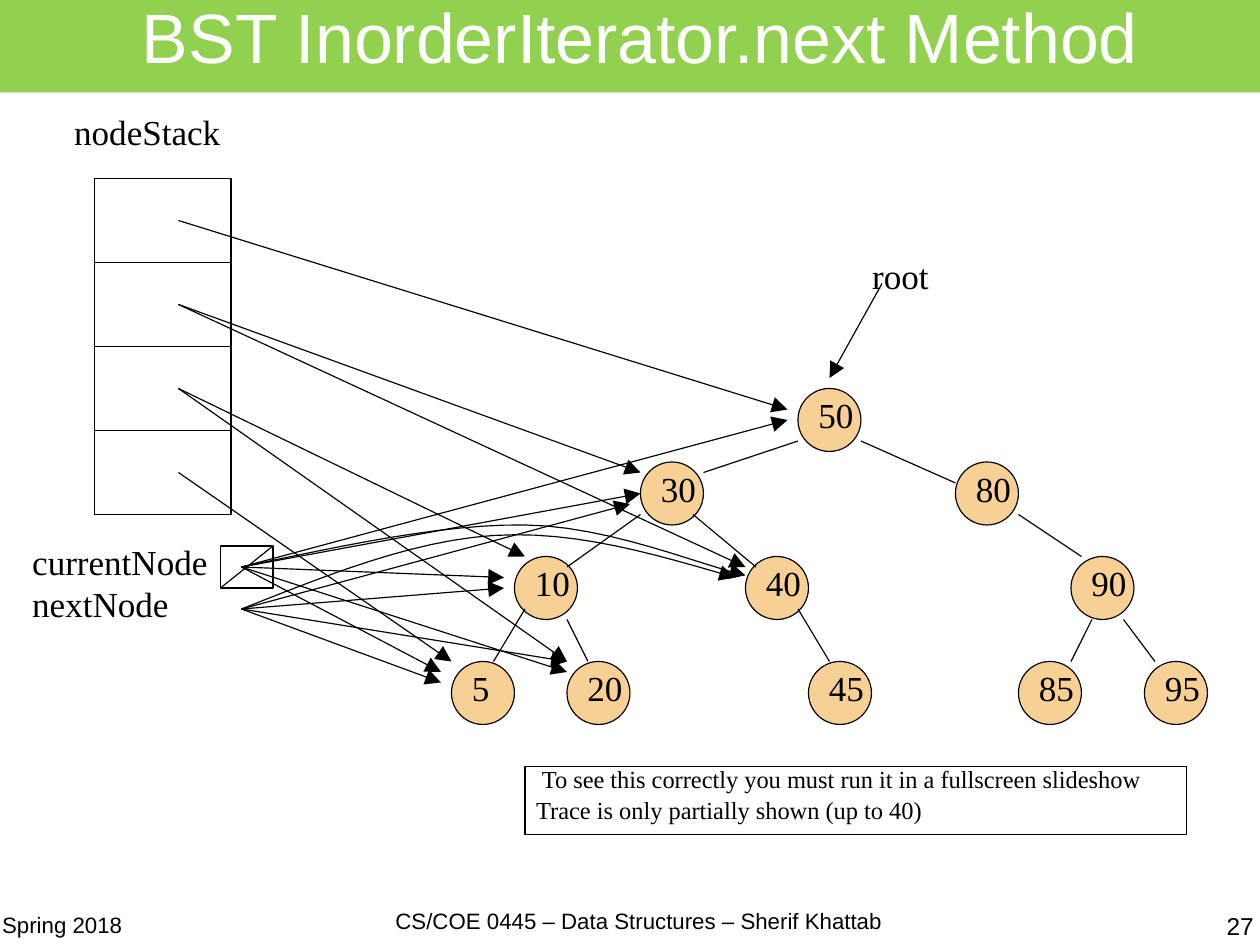
from pptx import Presentation
from pptx.dml.color import RGBColor
from pptx.enum.shapes import MSO_CONNECTOR, MSO_SHAPE
from pptx.enum.text import MSO_ANCHOR, PP_ALIGN
from pptx.oxml.ns import qn
from pptx.util import Mm, Pt
from lxml import etree

RECT, OVAL = MSO_SHAPE.RECTANGLE, MSO_SHAPE.OVAL
STRAIGHT = MSO_CONNECTOR.STRAIGHT
TOP, MIDDLE = MSO_ANCHOR.TOP, MSO_ANCHOR.MIDDLE
LEFT, CENTER, RIGHT = PP_ALIGN.LEFT, PP_ALIGN.CENTER, PP_ALIGN.RIGHT

# Slide grid: 120 columns by 90 rows of square cells
WIDTH, HEIGHT = Mm(280), Mm(210)
UNIT = WIDTH / 120
SERIF, SANS = "Times New Roman", "Arial"
BLACK, WHITE, GREEN, AMBER = "000000", "FFFFFF", "92D050", "F0A22E"

# Tree: value -> column and row of the node's top left corner
NODES = {"50": (76, 37), "30": (61, 44), "80": (91, 44), "10": (49, 53),
         "40": (71, 53), "90": (102, 53), "5": (43, 63), "20": (54, 63),
         "45": (77, 63), "85": (97, 63), "95": (109, 63)}
EDGES = [((76, 42), (67, 45)), ((82, 42), (91, 46)), ((61, 49), (54, 54)),
         ((66, 49), (72, 54)), ((97, 49), (103, 53)), ((50, 58), (47, 63)),
         ((54, 59), (56, 63)), ((76, 58), (79, 63)), ((104, 59), (102, 63)),
         ((107, 59), (110, 63))]
# Pointers: start -> arrow tips
POINTERS = {(17, 21): [(75, 39)],
            (17, 29): [(61, 45), (71, 54)],
            (17, 37): [(50, 53), (54, 63)],
            (17, 45): [(43, 63)],
            (23, 54): [(75, 40), (61, 47), (48, 55), (42, 64), (54, 64)],
            (23, 58): [(42, 65), (48, 56), (54, 63), (60, 48)],
            (84, 27): [(79, 36)]}
# Curved pointers to node 40: start, then two cubic spans
CURVES = [[(23, 54), (32.5, 52), (42, 49.9), (50, 50),
           (58, 50.1), (66.6, 53.8), (71, 54.8)],
          [(23, 58), (31.1, 54.8), (39.2, 51.5), (47, 51),
           (54.9, 50.5), (62.4, 52.8), (70, 55)]]


def grid(*cells):
    return [round(c * UNIT) for c in cells]


def color(value):
    return RGBColor.from_string(value)


def outline(shape):
    shape.line.color.rgb = color(BLACK)
    shape.line.width = Pt(0.75)


def add_arrowhead(shape):
    etree.SubElement(shape.line._get_or_add_ln(), qn("a:tailEnd"),
                     type="triangle", w="lg", len="lg")


def write(s, lines, size, font=SERIF, ink=BLACK, anchor=MIDDLE, align=LEFT,
          spacing=0.69, before=0, wrap=False, inset=None):
    tf = s.text_frame
    frame = {"word_wrap": wrap, "vertical_anchor": anchor}
    if inset is not None:
        for side in ("left", "right", "top", "bottom"):
            frame["margin_" + side] = inset
    for name, value in frame.items():
        setattr(tf, name, value)
    for i, line in enumerate(lines):
        p = tf.add_paragraph() if i else tf.paragraphs[0]
        layout = {"alignment": align, "line_spacing": spacing,
                  "space_before": Pt(before)}
        for name, value in layout.items():
            setattr(p, name, value)
        r = p.add_run()
        r.text = line
        for name, value in {"name": font, "size": Pt(size)}.items():
            setattr(r.font, name, value)
        r.font.color.rgb = color(ink)


def add_box(sp, kind, cells, fill=None, alpha=None, border=True):
    s = sp.add_shape(kind, *grid(*cells))
    s.shadow.inherit = False
    if fill:
        s.fill.solid()
        s.fill.fore_color.rgb = color(fill)
    else:
        s.fill.background()
    if alpha:
        tint = s.fill._xPr.find(".//" + qn("a:srgbClr"))
        etree.SubElement(tint, qn("a:alpha"), val=str(alpha * 1000))
    if border:
        outline(s)
    else:
        s.line.fill.background()
    return s


def add_label(sp, cells, text, size=22.1, **style):
    write(sp.add_textbox(*grid(*cells)), [text], size, **style)


def add_node(sp, value, corner):
    s = add_box(sp, OVAL, (*corner, 6, 6), AMBER, alpha=50)
    write(s, [value], 22.1)


def add_line(sp, start, end, arrow=False):
    c = sp.add_connector(STRAIGHT, *grid(*start, *end))
    outline(c)
    etree.SubElement(c._element.spPr, qn("a:effectLst"))
    if arrow:
        add_arrowhead(c)


def bezier(a, b, c, d, t):
    u = 1 - t
    return tuple(u**3 * i + 3 * u * u * t * j + 3 * u * t * t * k + t**3 * m
                 for i, j, k, m in zip(a, b, c, d))


def add_curve(sp, points, steps=12):
    stops = [grid(*bezier(*points[i:i + 4], n / steps))
             for i in (0, 3) for n in range(1, steps + 1)]
    builder = sp.build_freeform(*grid(*points[0]))
    builder.add_line_segments(stops, close=False)
    s = builder.convert_to_shape()
    s.shadow.inherit = False
    s.fill.background()
    outline(s)
    add_arrowhead(s)


def main():
    prs = Presentation()
    prs.slide_width, prs.slide_height = WIDTH, HEIGHT
    sp = prs.slides.add_slide(prs.slide_layouts[6]).shapes

    # Title band
    title = add_box(sp, RECT, (0, 0, 120.2, 8.8), GREEN, border=False)
    write(title, [" BST InorderIterator.next Method"], 44, font=SANS,
          ink=WHITE, align=CENTER, wrap=True, inset=0)

    # Tree
    for value, corner in NODES.items():
        add_node(sp, value, corner)
    for start, end in EDGES:
        add_line(sp, start, end)

    # Stack and variables
    for i in range(4):
        add_box(sp, RECT, (9, 17 + 8 * i, 13, 8))
    add_label(sp, (6, 11, 21, 4), "nodeStack")
    add_label(sp, (2, 52, 24, 4), "currentNode")
    add_label(sp, (2, 56, 24, 4), "nextNode")
    add_label(sp, (82, 24.2, 15, 5), "root")
    add_box(sp, RECT, (21, 52, 5, 4))
    add_line(sp, (21, 56), (26, 52))

    # Pointers
    for start, tips in POINTERS.items():
        for tip in tips:
            add_line(sp, start, tip, arrow=True)
    for points in CURVES:
        add_curve(sp, points)

    # Note
    note = add_box(sp, RECT, (50, 73, 63, 6.5))
    write(note, [" To see this correctly you must run it in a fullscreen slideshow",
                 "Trace is only partially shown (up to 40)"],
          15.4, anchor=TOP, before=7.2, wrap=True)

    # Footer
    footer = {"font": SANS, "anchor": TOP, "wrap": True, "inset": 0}
    add_label(sp, (0.2, 87.2, 27.5, 2.8), "Spring 2018", 14, spacing=0.84, **footer)
    add_label(sp, (33.4, 86.6, 54.9, 3.4),
              "CS/COE 0445 – Data Structures – Sherif Khattab", 14,
              align=CENTER, spacing=0.96, **footer)
    add_label(sp, (91.9, 86.9, 27.5, 3.1), "27", 15.4,
              align=RIGHT, spacing=0.96, **footer)

    prs.save("out.pptx")


if __name__ == "__main__":
    main()
